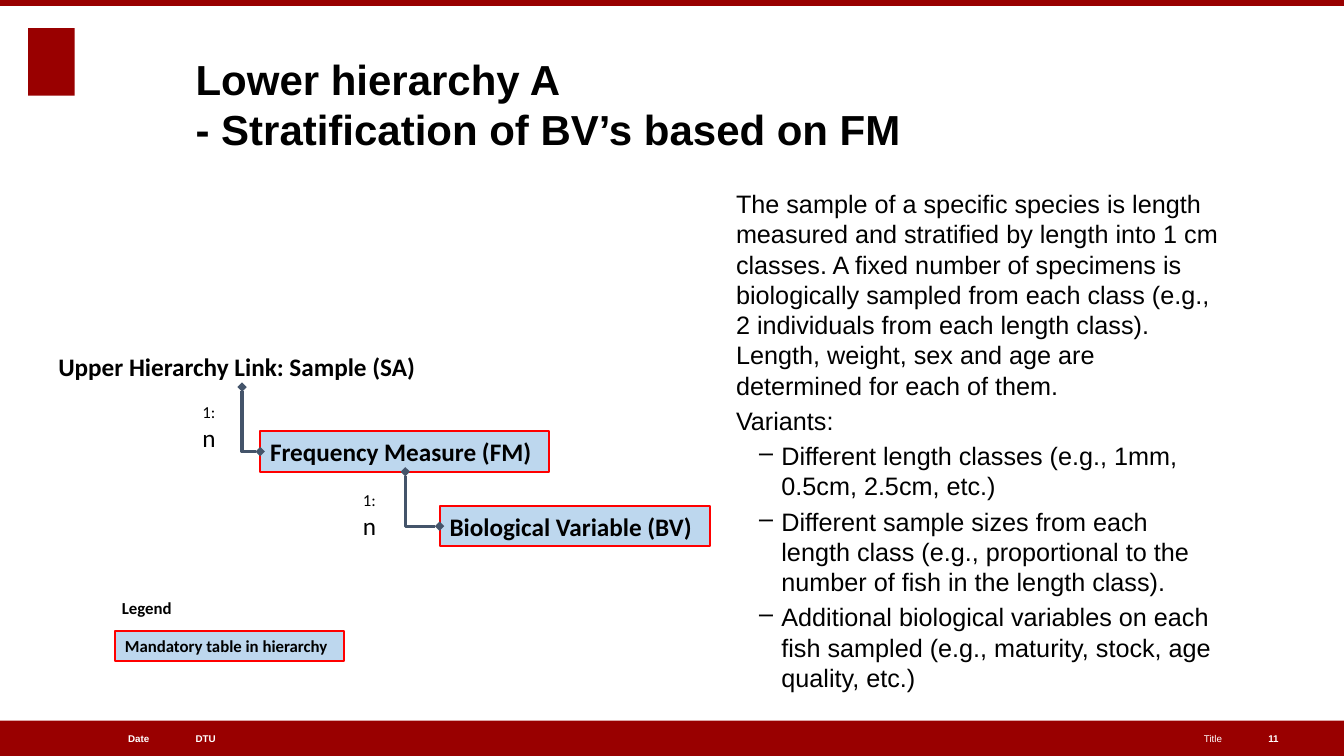
from lxml import etree
from pptx import Presentation
from pptx.dml.color import RGBColor
from pptx.enum.shapes import MSO_CONNECTOR, MSO_SHAPE
from pptx.enum.text import MSO_ANCHOR, PP_ALIGN
from pptx.oxml.ns import qn
from pptx.util import Inches, Pt

RECT, ELBOW = MSO_SHAPE.RECTANGLE, MSO_CONNECTOR.ELBOW
TOP, MID, LOW = MSO_ANCHOR.TOP, MSO_ANCHOR.MIDDLE, MSO_ANCHOR.BOTTOM
LEFT, RIGHT = PP_ALIGN.LEFT, PP_ALIGN.RIGHT

INK = {"brand": "990000", "box": "BDD7EE", "edge": "FF0000",
       "link": "44546A", "text": "000000", "white": "FFFFFF"}

BARS = [(0, 7.15, 13.33, 0.35), (0, 0, 13.33, 0.06), (0.28, 0.28, 0.46, 0.67)]
TITLE = ["Lower hierarchy A", "- Stratification of BV’s based on FM"]
BODY = [
    "The sample of a specific species is length measured and stratified by "
    "length into 1 cm classes. A fixed number of specimens is biologically "
    "sampled from each class (e.g., 2 individuals from each length class). "
    "Length, weight, sex and age are determined for each of them.",
    "Variants:",
]
ITEMS = [
    "Different length classes (e.g., 1mm, 0.5cm, 2.5cm, etc.)",
    "Different sample sizes from each length class (e.g., proportional to "
    "the number of fish in the length class).",
    "Additional biological variables on each fish sampled (e.g., maturity, "
    "stock, age quality, etc.)",
]
FOOT = [("Date", 0.27, 1.21, RIGHT, True), ("DTU", 1.94, 3.72, LEFT, True),
        ("Title", 6.11, 6.01, RIGHT, False), ("11", 12.58, 0.47, LEFT, True)]
NODES = [("Biological Variable (BV)", (4.36, 5.02, 2.68, 0.4), 18),
         ("Frequency Measure (FM)", (2.58, 4.28, 2.87, 0.4), 18),
         ("Mandatory table in hierarchy", (1.14, 6.26, 2.27, 0.3), 12)]
LABELS = [("Upper Hierarchy Link: Sample (SA)", (0.48, 3.44, 3.83, 0.4), 18),
          ("Legend", (1.11, 5.88, 0.7, 0.3), 12)]
RATIOS = [(1.91, 3.94), (3.5, 4.81)]
LINKS = [(2.4, 3.84, 2.58, 4.48), (4.02, 4.68, 4.36, 5.22)]


def color(name):
    return RGBColor.from_string(INK[name])


def add_run(para, text, size, face="Arial", bold=False, ink="text"):
    run = para.add_run()
    run.text = text
    font = run.font
    font.size, font.name, font.bold = Pt(size), face, bold
    font.color.rgb = color(ink)


def set_frame(shape, anchor=TOP, wrap=True, pad=None):
    frame = shape.text_frame
    frame.word_wrap, frame.vertical_anchor = wrap, anchor
    if pad is not None:
        frame.margin_left = frame.margin_right = Inches(pad)
        frame.margin_top = frame.margin_bottom = Inches(pad)
    frame.paragraphs[0].alignment = LEFT
    return frame


def add_box(slide, spot, **opts):
    return set_frame(slide.shapes.add_textbox(*map(Inches, spot)), **opts)


def add_rect(slide, spot, fill, edge=None):
    shape = slide.shapes.add_shape(RECT, *map(Inches, spot))
    shape.shadow.inherit = False
    shape.fill.solid()
    shape.fill.fore_color.rgb = color(fill)
    if edge:
        shape.line.color.rgb = color(edge)
        shape.line.width = Pt(1.5)
    else:
        shape.line.fill.background()
    return shape


def add_link(slide, left, top, right, bottom):
    wide, high = bottom - top, right - left
    x, y = (left + right - wide) / 2, (top + bottom - high) / 2
    link = slide.shapes.add_connector(
        ELBOW, *map(Inches, (x, y, x + wide, y + high)))
    link.line.color.rgb = color("link")
    link.line.width = Pt(2.25)
    props = link._element.spPr
    props.find(qn("a:prstGeom")).set("prst", "bentConnector2")
    frame = props.find(qn("a:xfrm"))
    frame.set("rot", "16200000")
    frame.set("flipH", "1")
    line = props.find(qn("a:ln"))
    for end in ("a:headEnd", "a:tailEnd"):
        etree.SubElement(line, qn(end)).set("type", "diamond")
    etree.SubElement(props, qn("a:effectLst"))


def add_body(slide):
    frame = add_box(slide, (7.3, 1.87, 4.82, 4.97), pad=0)
    for i, text in enumerate(BODY + ITEMS):
        para = frame.add_paragraph() if i else frame.paragraphs[0]
        if i:
            para.space_before = Pt(3.6)
        if i >= len(BODY):
            para.level = 1
            props = para._p.get_or_add_pPr()
            props.set("marL", str(Inches(0.45)))
            props.set("indent", str(Inches(-0.22)))
            etree.SubElement(props, qn("a:buChar")).set("char", "–")
        add_run(para, text, 18)


def main():
    """Build the lower hierarchy slide."""
    deck = Presentation()
    deck.slide_width, deck.slide_height = Inches(13.33), Inches(7.5)
    slide = deck.slides.add_slide(deck.slide_layouts[6])
    for spot in BARS:
        add_rect(slide, spot, "brand")
    for text, left, wide, align, bold in FOOT:
        para = add_box(slide, (left, 7.15, wide, 0.35), anchor=MID,
                       pad=0).paragraphs[0]
        para.alignment = align
        add_run(para, text, 7, bold=bold, ink="white")
    para = add_box(slide, (1.94, 0.47, 10.18, 1.06), anchor=LOW,
                   pad=0).paragraphs[0]
    for i, text in enumerate(TITLE):
        if i:
            para.add_line_break()
        add_run(para, text, 30, bold=True)
    add_body(slide)
    for text, spot, size in NODES:
        frame = set_frame(add_rect(slide, spot, "box", "edge"), wrap=False)
        add_run(frame.paragraphs[0], text, size, "Calibri", True)
    for text, spot, size in LABELS:
        frame = add_box(slide, spot, wrap=False)
        add_run(frame.paragraphs[0], text, size, "Calibri", True)
    for left, top in RATIOS:
        para = add_box(slide, (left, top, 0.45, 0.37)).paragraphs[0]
        add_run(para, "1:", 12, "Calibri")
        add_run(para, "n", 18, "Calibri")
    for ends in LINKS:
        add_link(slide, *ends)
    deck.save("out.pptx")


if __name__ == "__main__":
    main()
